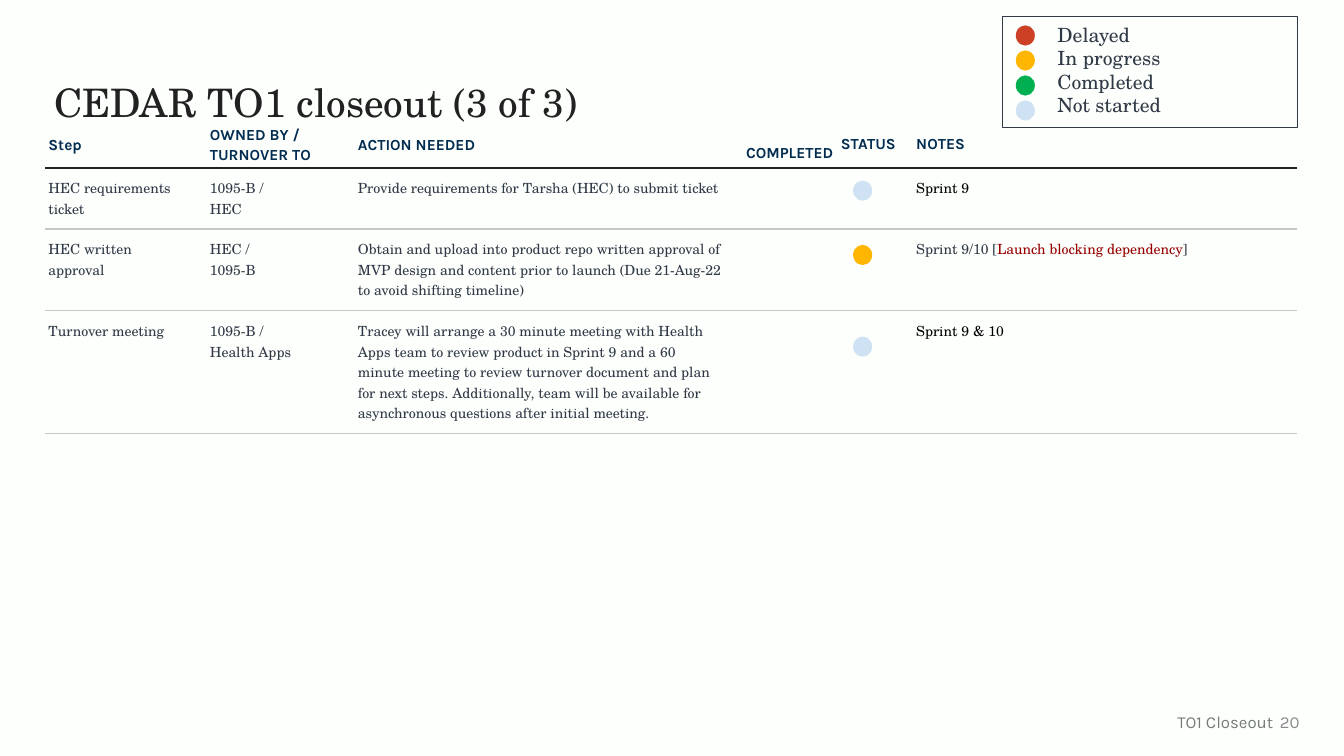
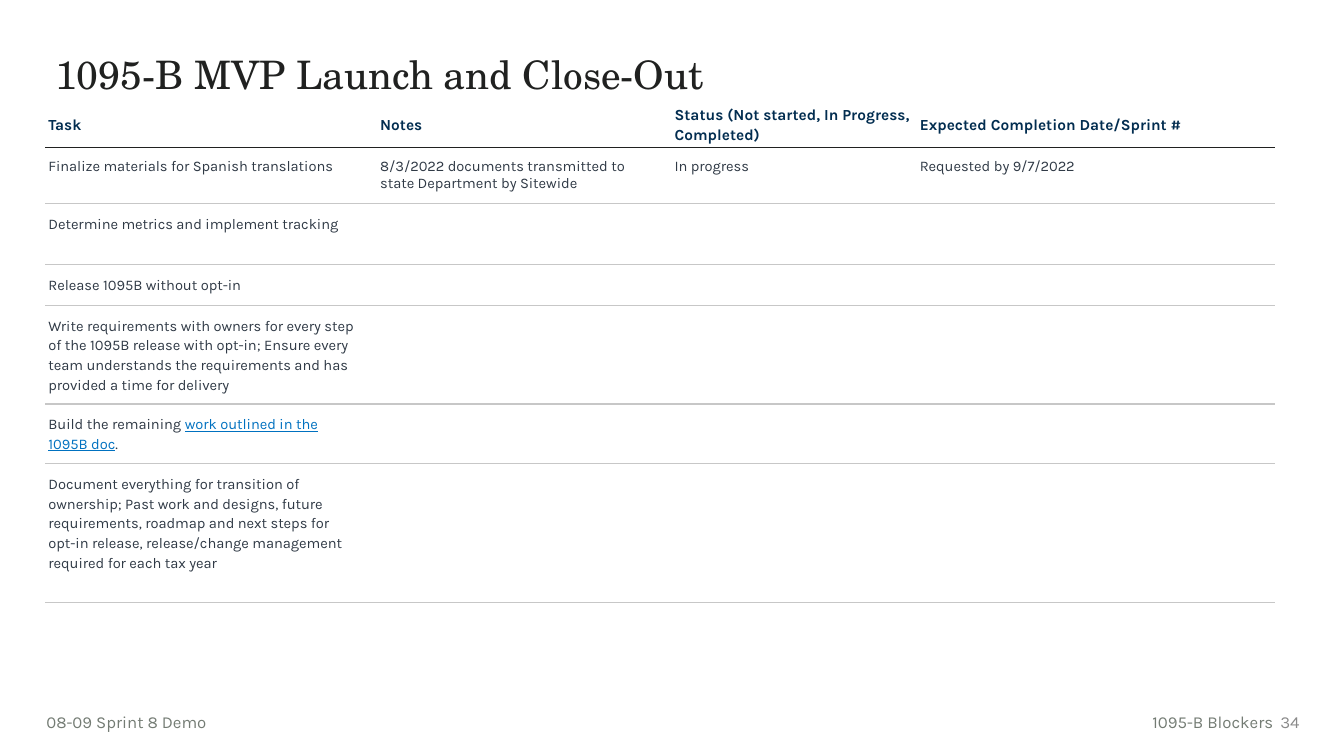
"""Build two project close-out slides, each with a ruled status table."""
from lxml import etree
from pptx import Presentation, util as u
from pptx.dml import color
from pptx.enum import shapes, text
from pptx.oxml import ns

SERIF, SANS = "TeX Gyre Schola", "Karla"
INK, SLATE, NAVY, BLACK = "202120", "303A46", "022D50", "000000"
RULE, FOOTER, NUMBER = "C7C7C7", "747C74", "8A8A8A"
RED, LINK = "980000", "0071C0"
STATUSES = {"Delayed": "CC4125", "In progress": "FEB600",
            "Completed": "00B050", "Not started": "CFE2F3"}
MIDDLE, BOTTOM, TOP = text.MSO_ANCHOR.MIDDLE, text.MSO_ANCHOR.BOTTOM, text.MSO_ANCHOR.TOP
RIGHT = text.PP_ALIGN.RIGHT
INSETS = (0.25, 0.13, 0.25, 0.13)
HEAD_INSETS = (0.08, 0.08, 0.08, 0.08)
BODY_INSETS = (0.08, 0.25, 0.51, 0.25)
TABLE_LEFT, DOT_LEFT = 1.14, 21.5

CLOSEOUT = {
    "title": "CEDAR TO1 closeout (3 of 3)", "title_at": (1.12, 1.98),
    "background": "FDFFFD", "section": "TO1 Closeout", "number": "20", "event": "",
    "top": 3.03, "font": SERIF, "size": 10, "spacings": (1, 1, 1),
    "columns": (4.07, 3.73, 9.78, 2.39, 1.73, 9.85),
    "heights": (1.17, 1.54, 2.06, 3.1),
    "header_spacings": (1.15, 1.15, 1.15, 1, 1, 1),
    "low_header_column": 3, "wide_inset_column": 5,
    "header": ("Step", "OWNED BY / TURNOVER TO", "ACTION NEEDED", "COMPLETED", "STATUS", "NOTES"),
    "rows": [
        ("HEC requirements ticket", "1095-B /\nHEC",
         "Provide requirements for Tarsha (HEC) to submit ticket",
         "", "", [("Sprint 9", BLACK)]),
        ("HEC written approval", "HEC /\n1095-B",
         "Obtain and upload into product repo written approval of MVP design and content "
         "prior to launch (Due 21-Aug-22 to avoid shifting timeline)", "", "",
         [("Sprint 9/10 [", SLATE), ("Launch blocking dependency", RED), ("]", SLATE)]),
        ("Turnover meeting", "1095-B /\nHealth Apps",
         "Tracey will arrange a 30 minute meeting with Health Apps team to review product in "
         "Sprint 9 and a 60 minute meeting to review turnover document and plan for next steps. "
         "Additionally, team will be available for asynchronous questions after initial meeting.",
         "", "", [("Sprint 9 & 10", BLACK)]),
    ],
}
ROW_DOTS = [("Not started", 4.55), ("In progress", 6.17), ("Not started", 8.48)]

LAUNCH = {
    "title": "1095-B MVP Launch and Close-Out", "title_at": (1.14, 1.27),
    "background": "FFFFFF", "section": "1095-B Blockers", "number": "34",
    "event": "08-09 Sprint 8 Demo",
    "top": 2.52, "font": SANS, "size": 10.5, "spacings": (1, 1.15, 1.15, 1.15, 1.15, 1.15),
    "columns": (8.36, 7.42, 6.18, 9.04),
    "heights": (1.17, 1.41, 1.53, 1.0, 2.49, 1.5, 3.5),
    "header_spacings": (1.15,) * 4,
    "low_header_column": None, "wide_inset_column": None,
    "header": ("Task", "Notes", "Status (Not started, In Progress, Completed)",
               "Expected Completion Date/Sprint #"),
    "rows": [
        ("Finalize materials for Spanish translations",
         "8/3/2022 documents transmitted to state Department by Sitewide",
         "In progress", "Requested by 9/7/2022"),
        ("Determine metrics and implement tracking", "", "", ""),
        ("Release 1095B without opt-in", "", "", ""),
        ("Write requirements with owners for every step of the 1095B release with opt-in; Ensure "
         "every team understands the requirements and has provided a time for delivery", "", "", ""),
        ([("Build the remaining ", SLATE), ("work outlined in the 1095B doc", LINK), (".", SLATE)],
         "", "", ""),
        ("Document everything for transition of ownership; Past work and designs, future "
         "requirements, roadmap and next steps for opt-in release, release/change management "
         "required for each tax year", "", "", ""),
    ],
}


def rgb(value):
    """Turn a hex string into a colour."""
    return color.RGBColor.from_string(value)


def set_insets(target, insets):
    """Set the four margins of a cell or text frame, in centimetres."""
    for side, inset in zip(("left", "top", "right", "bottom"), insets):
        setattr(target, f"margin_{side}", u.Cm(inset))


def write(frame, content, font, size, ink, bold=False, spacing=1, align=None):
    """Write a string, one paragraph a line, or a list of coloured runs."""
    lines = [[(line, ink)] for line in content.split("\n")] if isinstance(content, str) else [content]
    for index, runs in enumerate(lines):
        paragraph = frame.add_paragraph() if index else frame.paragraphs[0]
        paragraph.line_spacing = spacing
        paragraph.alignment = align
        for words, run_color in runs:
            run = paragraph.add_run()
            run.text = words
            run.font.name, run.font.size, run.font.bold = font, u.Pt(size), bold
            run.font.color.rgb = rgb(run_color)
            if run_color == LINK:
                run.font.underline = True


def add_text(slide, box, content, font, size, ink, insets=INSETS, align=None, anchor=TOP):
    """Add a wrapping text box."""
    frame = slide.shapes.add_textbox(*map(u.Cm, box)).text_frame
    frame.word_wrap, frame.vertical_anchor = True, anchor
    set_insets(frame, insets)
    write(frame, content, font, size, ink, align=align)


def add_dot(slide, left, top, status):
    """Add a status dot."""
    dot = slide.shapes.add_shape(shapes.MSO_SHAPE.OVAL, *map(u.Cm, (left, top, 0.48, 0.51)))
    dot.shadow.inherit = False
    dot.fill.solid()
    dot.fill.fore_color.rgb = rgb(STATUSES[status])
    dot.line.fill.background()


def set_borders(cell, top, bottom):
    """Rule a cell above and below, leaving its sides and fill clear."""
    properties = cell._tc.get_or_add_tcPr()
    for side, ink in (("L", None), ("R", None), ("T", top), ("B", bottom)):
        line = etree.SubElement(properties, ns.qn(f"a:ln{side}"), w=str(u.Pt(1)))
        if ink:
            fill = etree.SubElement(line, ns.qn("a:solidFill"))
            etree.SubElement(fill, ns.qn("a:srgbClr"), val=ink)
        else:
            etree.SubElement(line, ns.qn("a:noFill"))
    cell.fill.background()


def add_status_table(slide, page):
    """Add the header row and the body rows of a page."""
    columns, heights = page["columns"], page["heights"]
    box = (TABLE_LEFT, page["top"], sum(columns), sum(heights))
    table = slide.shapes.add_table(len(heights), len(columns), *map(u.Cm, box)).table
    table.horz_banding = False
    for column, width in zip(table.columns, columns):
        column.width = u.Cm(width)
    for row, height in zip(table.rows, heights):
        row.height = u.Cm(height)
    for row_index, contents in enumerate([page["header"], *page["rows"]]):
        for column_index, content in enumerate(contents):
            cell = table.cell(row_index, column_index)
            top = (None, INK)[row_index] if row_index < 2 else RULE
            set_borders(cell, top, RULE if row_index else INK)
            if not content:
                continue
            insets = BODY_INSETS if row_index else HEAD_INSETS
            if column_index == page["wide_inset_column"]:
                insets = (0.25, insets[1], 0.08, insets[3])
            set_insets(cell, insets)
            if row_index:
                write(cell.text_frame, content, page["font"], page["size"], SLATE,
                      spacing=page["spacings"][row_index - 1])
            else:
                cell.vertical_anchor = MIDDLE
                if column_index == page["low_header_column"]:
                    cell.vertical_anchor, cell.margin_bottom = BOTTOM, u.Cm(0.13)
                write(cell.text_frame, content, SANS, 11, NAVY, bold=True,
                      spacing=page["header_spacings"][column_index])


def add_page(presentation, page):
    """Add a slide with its title, table and footer."""
    slide = presentation.slides.add_slide(presentation.slide_layouts[5])
    slide.background.fill.solid()
    slide.background.fill.fore_color.rgb = rgb(page["background"])
    title = slide.shapes.title
    title.left, title.top, title.width, title.height = map(u.Cm, (*page["title_at"], 22.38, 3.68))
    frame = title.text_frame
    frame.vertical_anchor, frame.word_wrap = TOP, True
    frame.auto_size = text.MSO_AUTO_SIZE.NONE
    set_insets(frame, INSETS)
    write(frame, page["title"], SERIF, 28, INK, spacing=0.9, align=text.PP_ALIGN.LEFT)
    add_status_table(slide, page)
    add_text(slide, (31.88, 17.68, 1.12, 1.02), page["number"], SANS, 12, NUMBER,
             align=RIGHT, anchor=MIDDLE)
    add_text(slide, (28.17, 17.81, 4.17, 0.76), page["section"], SANS, 12, FOOTER, align=RIGHT)
    if page["event"]:
        add_text(slide, (1.17, 17.81, 7.57, 0.76), page["event"], SANS, 12, FOOTER,
                 insets=(0, 0.13, 0.25, 0.13))
    return slide


def add_legend(slide):
    """Add the framed key to the status colours."""
    frame = slide.shapes.add_shape(shapes.MSO_SHAPE.RECTANGLE, *map(u.Cm, (25.27, 0.41, 7.42, 2.81)))
    frame.shadow.inherit = False
    frame.fill.background()
    frame.line.color.rgb = rgb(SLATE)
    frame.line.width = u.Pt(0.75)
    for index, status in enumerate(STATUSES):
        add_dot(slide, 25.6, 0.64 + 0.63 * index, status)
    add_text(slide, (26.4, 0.32, 6.3, 2.9), "\n".join(STATUSES), SERIF, 14, SLATE, insets=(0.25,) * 4)


def main():
    """Build and save the presentation."""
    presentation = Presentation()
    presentation.slide_width, presentation.slide_height = u.Cm(33.87), u.Cm(19.05)
    closeout = add_page(presentation, CLOSEOUT)
    add_legend(closeout)
    for status, top in ROW_DOTS:
        add_dot(closeout, DOT_LEFT, top, status)
    add_page(presentation, LAUNCH)
    presentation.save("out.pptx")


if __name__ == "__main__":
    main()
